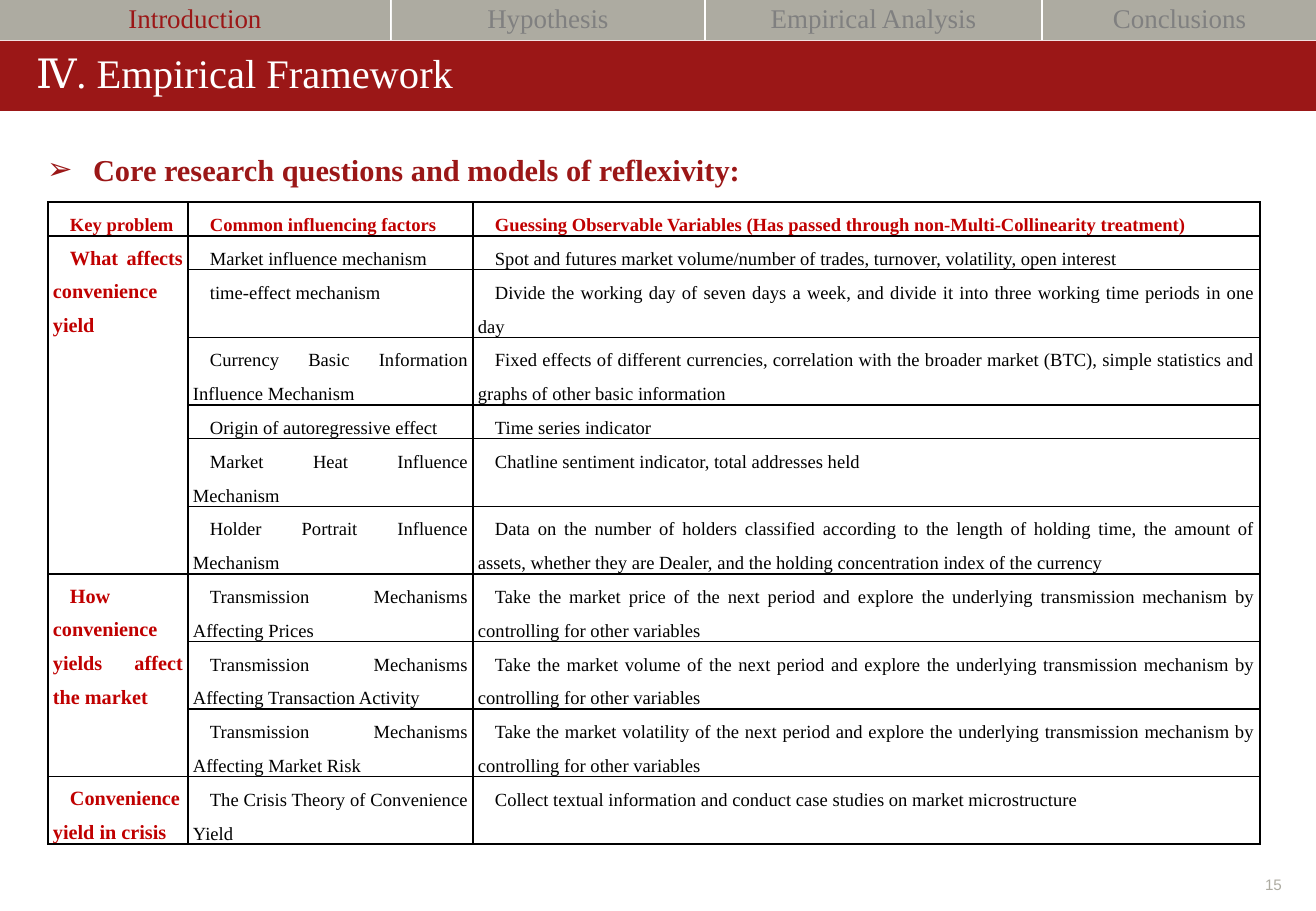
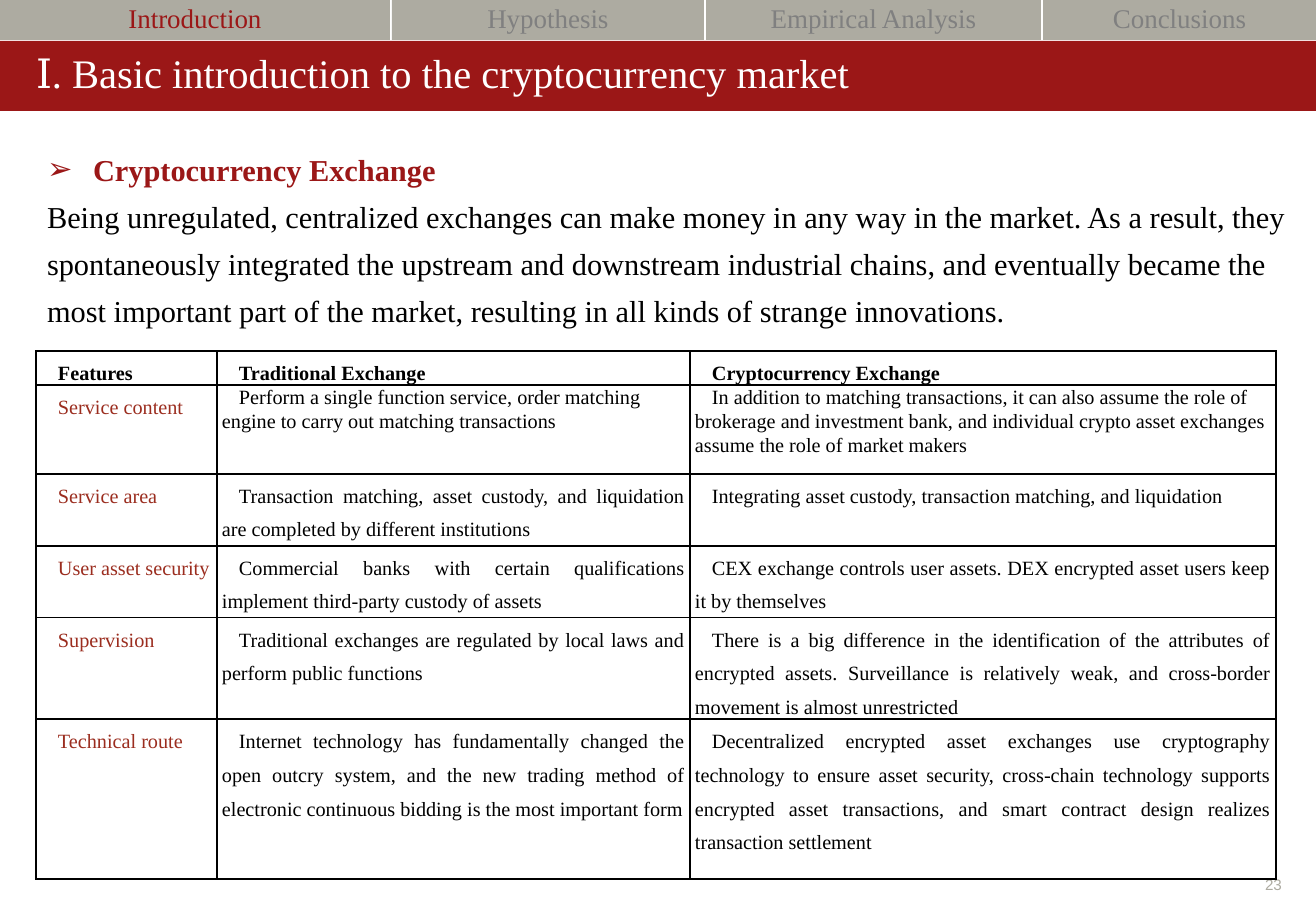
import pptx
import pptx.dml.color
import pptx.enum.shapes
import pptx.enum.text
import pptx.oxml.ns
import pptx.util
from lxml import etree

ALIGN = pptx.enum.text.PP_ALIGN
ANCHOR = pptx.enum.text.MSO_ANCHOR
EMU_PER_PX = 914400 / 121.5
COLORS = {
    "crimson": "9B1717", "stone": "ADABA1", "gray": "808080", "white": "FFFFFF",
    "black": "000000", "red": "C00000", "rust": "9B2D1F",
}
SERIF = "Times New Roman"
SLIDE_BOX = (0, 0, 1316, 911)
TAB_GAP = 2
TABS = [("Introduction", 390), ("Hypothesis", 312), ("Empirical Analysis", 335), ("Conclusions", 273)]
CURRENT_TAB = "Introduction"
TITLE_BOX = (36, 53, 1245, 52)
BODY_BOX = (47, 140, 1245, 176)
PAGE_BOX = (1244, 876, 38, 18)
LINE_HEIGHT = 33
FIRST_INDENT = 17

FRAMEWORK_HEADER = [
    "Key problem", "Common influencing factors",
    "Guessing Observable Variables (Has passed through non-Multi-Collinearity treatment)",
]
# Each problem holds its rows: factor, variables, number of text lines.
FRAMEWORK = [
    ("What affects convenience yield", [
        ("Market influence mechanism",
         "Spot and futures market volume/number of trades, turnover, volatility, open interest", 1),
        ("time-effect mechanism",
         "Divide the working day of seven days a week, and divide it into three working time "
         "periods in one day", 2),
        ("Currency Basic Information Influence Mechanism",
         "Fixed effects of different currencies, correlation with the broader market (BTC), simple "
         "statistics and graphs of other basic information", 2),
        ("Origin of autoregressive effect", "Time series indicator", 1),
        ("Market Heat Influence Mechanism",
         "Chatline sentiment indicator, total addresses held", 2),
        ("Holder Portrait Influence Mechanism",
         "Data on the number of holders classified according to the length of holding time, the "
         "amount of assets, whether they are Dealer, and the holding concentration index of the "
         "currency", 2),
    ]),
    ("How convenience yields affect the market", [
        (f"Transmission Mechanisms Affecting {target}",
         f"Take the market {measure} of the next period and explore the underlying transmission "
         "mechanism by controlling for other variables", 2)
        for target, measure in [("Prices", "price"), ("Transaction Activity", "volume"),
                                ("Market Risk", "volatility")]
    ]),
    ("Convenience yield in crisis", [
        ("The Crisis Theory of Convenience Yield",
         "Collect textual information and conduct case studies on market microstructure", 2),
    ]),
]

EXCHANGE_INTRO = (
    "Being unregulated, centralized exchanges can make money in any way in the market. As a "
    "result, they spontaneously integrated the upstream and downstream industrial chains, and "
    "eventually became the most important part of the market, resulting in all kinds of strange "
    "innovations."
)
EXCHANGES = [
    ("Features", "Traditional Exchange", "Cryptocurrency Exchange"),
    ("Service content",
     "Perform a single function service, order matching engine to carry out matching transactions",
     "In addition to matching transactions, it can also assume the role of brokerage and "
     "investment bank, and individual crypto asset exchanges assume the role of market makers"),
    ("Service area",
     "Transaction matching, asset custody, and liquidation are completed by different institutions",
     "Integrating asset custody, transaction matching, and liquidation"),
    ("User asset security",
     "Commercial banks with certain qualifications implement third-party custody of assets",
     "CEX exchange controls user assets. DEX encrypted asset users keep it by themselves"),
    ("Supervision",
     "Traditional exchanges are regulated by local laws and perform public functions",
     "There is a big difference in the identification of the attributes of encrypted assets. "
     "Surveillance is relatively weak, and cross-border movement is almost unrestricted"),
    ("Technical route",
     "Internet technology has fundamentally changed the open outcry system, and the new trading "
     "method of electronic continuous bidding is the most important form",
     "Decentralized encrypted asset exchanges use cryptography technology to ensure asset "
     "security, cross-chain technology supports encrypted asset transactions, and smart contract "
     "design realizes transaction settlement"),
]


def px(length):
    return pptx.util.Emu(round(length * EMU_PER_PX))


def rgb(color):
    return pptx.dml.color.RGBColor.from_string(COLORS[color])


def add_xml(parent, tag, **attributes):
    return etree.SubElement(parent, pptx.oxml.ns.qn(tag), attributes)


def write(paragraph, text, size=12, color="black", bold=False, font=SERIF, align=ALIGN.LEFT,
          spacing=None, after=0, left=0, indent=0, bullet=None):
    """Fill one paragraph; spacing is a Pt length or a multiple of the line."""
    properties = paragraph._p.get_or_add_pPr()
    properties.set("marL", str(px(left)))
    properties.set("indent", str(px(indent)))
    if bullet:
        add_xml(properties, "a:buChar", char=bullet)
    else:
        add_xml(properties, "a:buNone")
    paragraph.alignment = align
    paragraph.line_spacing = spacing
    paragraph.space_before = pptx.util.Pt(0)
    paragraph.space_after = pptx.util.Pt(after)
    run = paragraph.add_run()
    run.text = text
    run.font.name = font
    run.font.size = pptx.util.Pt(size)
    run.font.bold = bold
    run.font.color.rgb = rgb(color)


def set_frame(frame, margin=0, anchor=ANCHOR.TOP, wrap=True):
    frame.auto_size = pptx.enum.text.MSO_AUTO_SIZE.NONE
    frame.margin_left = frame.margin_right = frame.margin_top = frame.margin_bottom = px(margin)
    frame.vertical_anchor = anchor
    frame.word_wrap = wrap


def place(shape, box):
    shape.left, shape.top, shape.width, shape.height = map(px, box)


def add_band(slide, box, color):
    band = slide.shapes.add_shape(pptx.enum.shapes.MSO_SHAPE.RECTANGLE, *map(px, box))
    band.shadow.inherit = False
    band.fill.solid()
    band.fill.fore_color.rgb = rgb(color)
    band.line.fill.background()
    return band


def add_navigation(slide, box):
    """Draw the tab strip and title band, then hand them to the layout all slides share."""
    left, top, width, _ = box
    bands = [add_band(slide, (left, top + 41, width, 70), "crimson")]
    for label, tab_width in TABS:
        tab = add_band(slide, (left, top, tab_width, 40), "stone")
        set_frame(tab.text_frame, margin=10, anchor=ANCHOR.MIDDLE)
        write(tab.text_frame.paragraphs[0], label, size=16, align=ALIGN.CENTER, spacing=0.9,
              color="crimson" if label == CURRENT_TAB else "gray")
        bands.append(tab)
        left += tab_width + TAB_GAP
    layout_tree = slide.slide_layout.shapes._spTree
    for position, band in enumerate(bands):
        band._element.nvSpPr.cNvPr.set("id", str(20 + position))
        layout_tree.insert(2 + position, band._element)


def add_content_slide(deck, title, heading, page, intro=None):
    slide = deck.slides.add_slide(deck.slide_layouts[1])
    heading_box = slide.placeholders[1]
    place(slide.shapes.title, TITLE_BOX)
    set_frame(slide.shapes.title.text_frame)
    write(slide.shapes.title.text_frame.paragraphs[0], title, size=24, color="white", spacing=0.9)

    place(heading_box, BODY_BOX)
    set_frame(heading_box.text_frame)
    leading = pptx.util.Pt(28)
    write(heading_box.text_frame.paragraphs[0], heading, size=18, color="crimson", bold=True,
          spacing=leading, left=46, indent=-46, bullet="➢")
    if intro:
        write(heading_box.text_frame.add_paragraph(), intro, size=18, spacing=leading)

    page_box = slide.shapes.add_textbox(*map(px, PAGE_BOX))
    set_frame(page_box.text_frame, anchor=ANCHOR.BOTTOM, wrap=False)
    write(page_box.text_frame.paragraphs[0], page, size=9, color="stone", font="Arial",
          align=ALIGN.RIGHT)
    return slide


def add_grid(slide, origin, columns, rows):
    """Add an unfilled table with black rules; columns and rows are sizes in px."""
    box = (*origin, sum(columns), sum(rows))
    grid = slide.shapes.add_table(len(rows), len(columns), *map(px, box)).table
    grid.first_row = grid.horz_banding = False
    for column, width in zip(grid.columns, columns):
        column.width = px(width)
    for row, height in zip(grid.rows, rows):
        row.height = px(height)
    for cell in grid.iter_cells():
        cell.margin_left = cell.margin_right = px(5)
        cell.margin_top = cell.margin_bottom = 0
        for side in ("a:lnL", "a:lnR", "a:lnT", "a:lnB"):
            rule = add_xml(cell._tc.get_or_add_tcPr(), side, w=str(pptx.util.Pt(1)))
            add_xml(add_xml(rule, "a:solidFill"), "a:srgbClr", val=COLORS["black"])
        cell.fill.background()
    return grid


def write_cell(cell, text, spacing=pptx.util.Pt(20), **style):
    write(cell.text_frame.paragraphs[0], text, spacing=spacing, indent=FIRST_INDENT, **style)


def add_framework_table(slide, origin):
    line_counts = [1] + [lines for _, factors in FRAMEWORK for *_, lines in factors]
    grid = add_grid(slide, origin, [140, 285, 787], [LINE_HEIGHT * lines for lines in line_counts])
    for column, label in enumerate(FRAMEWORK_HEADER):
        write_cell(grid.cell(0, column), label, size=11, color="red", bold=True,
                   align=ALIGN.JUSTIFY)
    row = 1
    for problem, factors in FRAMEWORK:
        problem_cell = grid.cell(row, 0)
        if len(factors) > 1:
            problem_cell.merge(grid.cell(row + len(factors) - 1, 0))
        write_cell(problem_cell, problem, color="red", bold=True, align=ALIGN.JUSTIFY)
        for factor, variables, _ in factors:
            write_cell(grid.cell(row, 1), factor, size=11, align=ALIGN.JUSTIFY)
            write_cell(grid.cell(row, 2), variables, size=11, align=ALIGN.JUSTIFY)
            row += 1


def add_exchange_table(slide, origin):
    grid = add_grid(slide, origin, [181, 473, 586], [LINE_HEIGHT, 89, 72, 72, 97, 160])
    for row, texts in enumerate(EXCHANGES):
        for column, text in enumerate(texts):
            if row == 0:
                style = {"bold": True}
            elif column == 0:
                style = {"color": "rust"}
            elif row == 1:
                style = {"spacing": 1.07, "after": 8}
            else:
                style = {"align": ALIGN.JUSTIFY}
            write_cell(grid.cell(row, column), text, **style)


def main():
    deck = pptx.Presentation()
    deck.slide_width, deck.slide_height = map(px, SLIDE_BOX[2:])

    framework = add_content_slide(deck, "Ⅳ. Empirical Framework",
                                  "Core research questions and models of reflexivity:", "15")
    add_navigation(framework, SLIDE_BOX)
    add_framework_table(framework, (48, 202))

    exchange = add_content_slide(deck, "Ⅰ. Basic introduction to the cryptocurrency market",
                                 "Cryptocurrency Exchange", "23", intro=EXCHANGE_INTRO)
    add_exchange_table(exchange, (36, 351))

    deck.save("out.pptx")


if __name__ == "__main__":
    main()
